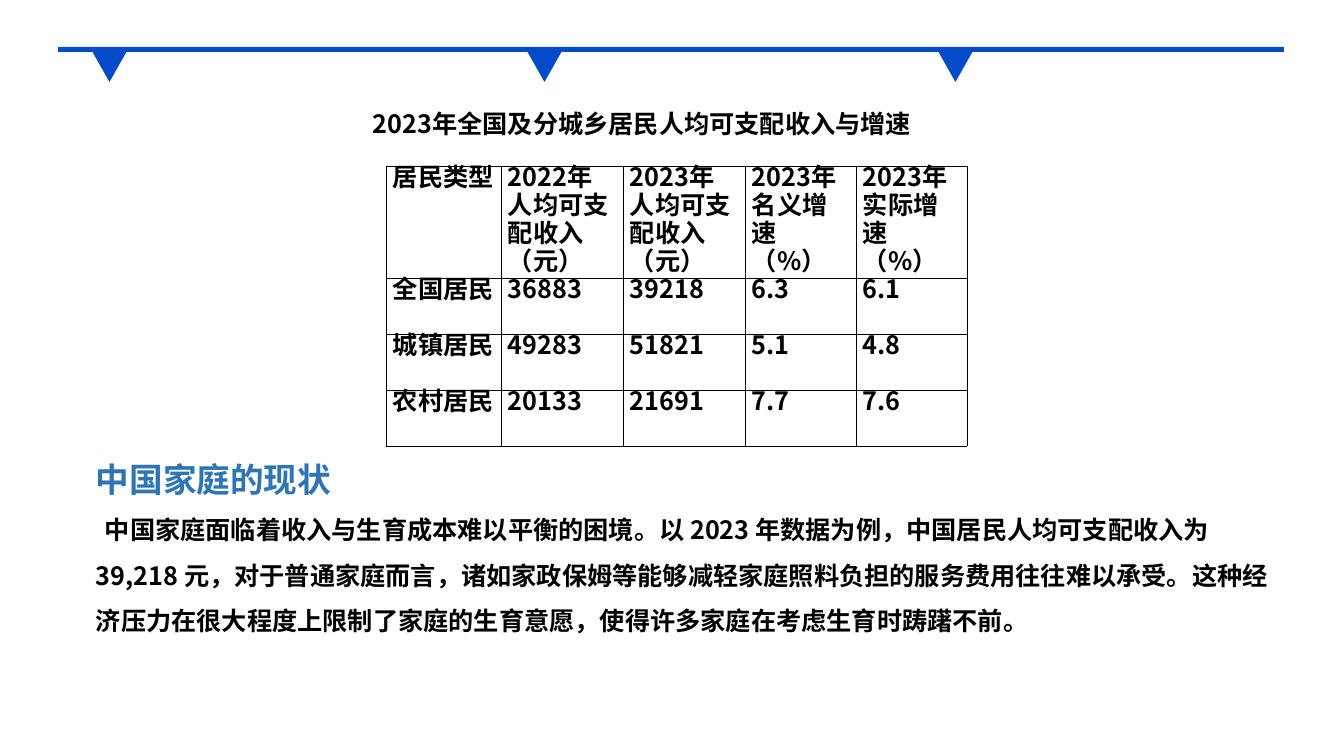
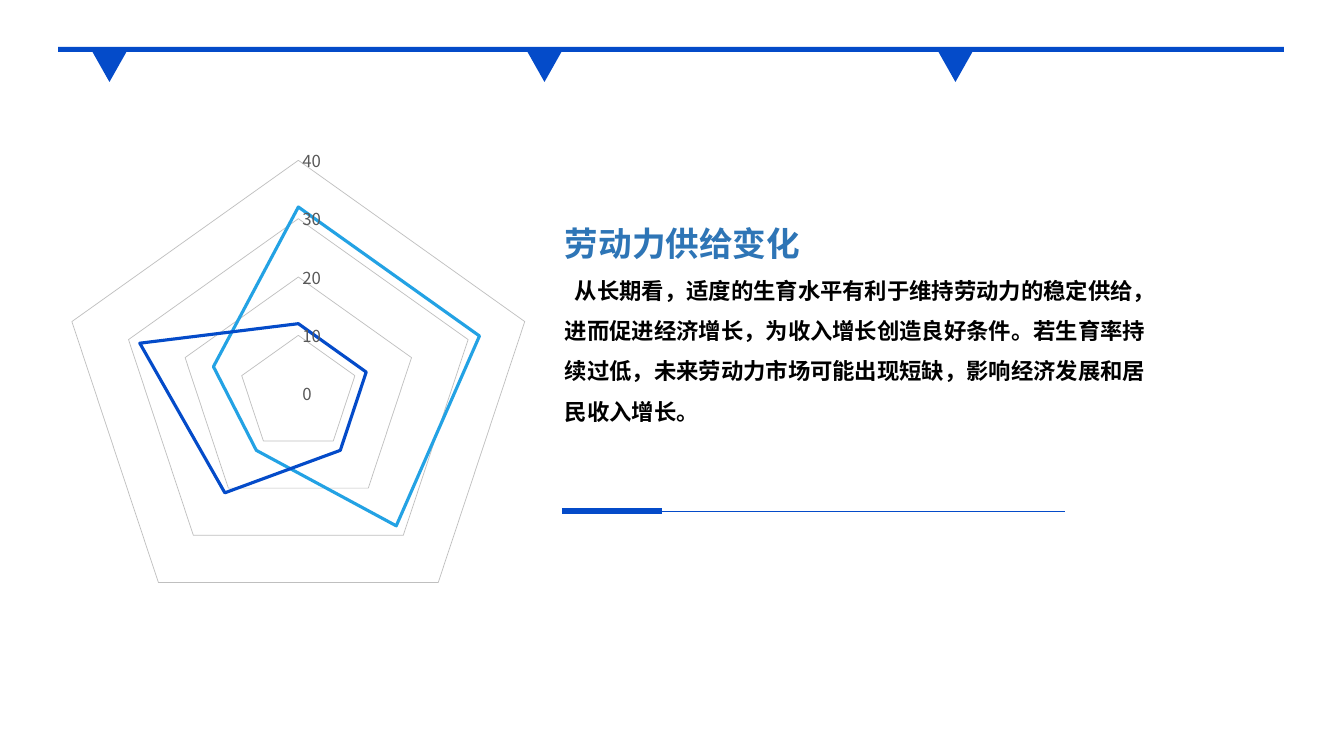
import pptx
import pptx.chart.data
import pptx.dml.color
import pptx.enum.chart
import pptx.enum.shapes
import pptx.oxml
import pptx.oxml.ns
import pptx.util

PX = 914400 / 100.8
FONT = "Noto Sans CJK SC"
HUES = {"blue": "044BC9", "sky": "23A2E4", "head": "2E75B6", "text": "000000",
        "edge": "000008", "tick": "595959", "grid": "BFBFBF"}
LEAD = pptx.util.Pt(20)
SHAPE = pptx.enum.shapes.MSO_SHAPE
NS = pptx.oxml.ns.nsdecls


def emu(num):
    return pptx.util.Emu(round(num * PX))


def place(box):
    return [emu(num) for num in box]


def hue(name):
    return pptx.dml.color.RGBColor.from_string(HUES[name])


# Shared text style
def style(font, size, tint, bold):
    font.size = pptx.util.Pt(size)
    font.bold = bold
    font.color.rgb = hue(tint)
    font.name = FONT


def write(para, text, size, tint="text", gap=1.5, dent=0):
    para.text = text
    para.line_spacing = gap
    props = para._p.get_or_add_pPr()
    if dent:
        props.set("indent", str(emu(dent)))
    style(para.font, size, tint, True)
    east = pptx.oxml.parse_xml(f'<a:ea {NS("a")} typeface="{FONT}"/>')
    props.find(pptx.oxml.ns.qn("a:defRPr")).append(east)


def add_text(slide, box):
    frame = slide.shapes.add_textbox(*place(box)).text_frame
    frame.word_wrap = True
    return frame


# Heading with an indented body
def add_story(slide, box, head, body, size, dent):
    frame = add_text(slide, box)
    write(frame.paragraphs[0], head, 24, "head")
    write(frame.add_paragraph(), body, size, dent=dent)


# Top band: a bar with three pointers
def add_band(slide, box):
    left, top, wide, high = box
    parts = [(SHAPE.RECTANGLE, box)]
    parts += [(SHAPE.FLOWCHART_MERGE, (left + step, top + 4, 35, 31))
              for step in (34, 469, 880)]
    for kind, area in parts:
        shape = slide.shapes.add_shape(kind, *place(area))
        shape.shadow.inherit = False
        shape.fill.solid()
        shape.fill.fore_color.rgb = hue("blue")
        shape.line.fill.background()


# Table with thin borders
def add_grid(slide, box, rows, cols, highs):
    table = slide.shapes.add_table(len(rows), len(cols), *place(box)).table
    table.first_row = table.horz_banding = False
    for col, wide in zip(table.columns, cols):
        col.width = emu(wide)
    for row, high, texts in zip(table.rows, highs, rows):
        row.height = emu(high)
        for cell, text in zip(row.cells, texts):
            cell.margin_left = cell.margin_right = emu(7)
            cell.margin_top = cell.margin_bottom = 0
            cell.fill.background()
            write(cell.text_frame.paragraphs[0], text, 18, gap=LEAD)
            props = cell._tc.get_or_add_tcPr()
            for spot, side in enumerate("LRTB"):
                props.insert(spot, pptx.oxml.parse_xml(
                    f'<a:ln{side} {NS("a")} w="6350"><a:solidFill>'
                    f'<a:srgbClr val="{HUES["edge"]}"/></a:solidFill></a:ln{side}>'))


# Radar chart
def add_radar(slide, box, lines):
    data = pptx.chart.data.CategoryChartData()
    data.categories = ["1", "2", "3", "4", "5"]
    for name, vals, tint in lines:
        data.add_series(name, vals)
    kind = pptx.enum.chart.XL_CHART_TYPE.RADAR
    chart = slide.shapes.add_chart(kind, *place(box), data).chart
    chart.has_legend = chart.has_title = False
    style(chart.font, 12, "text", False)
    plot = chart.plots[0]
    plot.vary_by_categories = False
    for line, (name, vals, tint) in zip(plot.series, lines):
        line.format.line.color.rgb = hue(tint)
        line.format.line.width = pptx.util.Pt(2.25)
    chart.category_axis.visible = False
    axis = chart.value_axis
    axis.minimum_scale, axis.maximum_scale, axis.major_unit = 0, 40, 10
    axis.major_tick_mark = axis.minor_tick_mark = pptx.enum.chart.XL_TICK_MARK.NONE
    axis.format.line.fill.background()
    axis.has_major_gridlines = True
    grid = axis.major_gridlines.format.line
    grid.color.rgb = hue("grid")
    grid.width = pptx.util.Pt(0.5)
    style(axis.tick_labels.font, 12, "tick", False)
    # Fixed inner plot area
    area = chart._chartSpace.chart.plotArea
    for old in area.findall(pptx.oxml.ns.qn("c:layout")):
        area.remove(old)
    sizes = "".join(f'<c:{key} val="{val}"/>' for key, val in
                    (("x", 0.004), ("y", 0.004), ("w", 0.852), ("h", 0.939)))
    area.insert(0, pptx.oxml.parse_xml(
        f'<c:layout {NS("c")}><c:manualLayout><c:layoutTarget val="inner"/>'
        f'<c:xMode val="edge"/><c:yMode val="edge"/>{sizes}'
        '</c:manualLayout></c:layout>'))


# Thin rule with a thick start
def add_rule(slide, left, top, wide):
    for span, size in ((wide, 0.5), (wide // 5, 4.5)):
        line = slide.shapes.add_connector(
            pptx.enum.shapes.MSO_CONNECTOR.STRAIGHT,
            *place((left, top, left + span, top)))
        line.line.color.rgb = hue("blue")
        line.line.width = pptx.util.Pt(size)
        line._element.spPr.append(pptx.oxml.parse_xml(f'<a:effectLst {NS("a")}/>'))


def new_slide(deck):
    slide = deck.slides.add_slide(deck.slide_layouts[6])
    add_band(slide, (58, 47, 1226, 5))
    return slide


def income(deck):
    slide = new_slide(deck)
    add_story(slide, (86, 434, 1208, 209), "中国家庭的现状",
              "中国家庭面临着收入与生育成本难以平衡的困境。以 2023 年数据为例，"
              "中国居民人均可支配收入为 39,218 元，对于普通家庭而言，"
              "诸如家政保姆等能够减轻家庭照料负担的服务费用往往难以承受。"
              "这种经济压力在很大程度上限制了家庭的生育意愿，"
              "使得许多家庭在考虑生育时踌躇不前。", 18, 9)
    frame = add_text(slide, (243, 106, 1050, 38))
    write(frame.paragraphs[0], "2023年全国及分城乡居民人均可支配收入与增速",
          18, gap=LEAD, dent=120)
    rows = [("居民类型", "2022年人均可支配收入（元）", "2023年人均可支配收入（元）",
             "2023年名义增速（%）", "2023年实际增速（%）"),
            ("全国居民", "36883", "39218", "6.3", "6.1"),
            ("城镇居民", "49283", "51821", "5.1", "4.8"),
            ("农村居民", "20133", "21691", "7.7", "7.6")]
    add_grid(slide, (386, 166, 581, 280), rows,
             (115, 122, 122, 111, 111), (112, 56, 56, 56))


def labour(deck):
    slide = new_slide(deck)
    add_story(slide, (555, 198, 605, 340), "劳动力供给变化",
              "从长期看，适度的生育水平有利于维持劳动力的稳定供给，"
              "进而促进经济增长，为收入增长创造良好条件。"
              "若生育率持续过低，未来劳动力市场可能出现短缺，"
              "影响经济发展和居民收入增长。", 16, 10)
    add_rule(slide, 562, 511, 503)
    add_radar(slide, (58, 148, 559, 508),
              [("Series 1", (32, 32, 28, 12, 15), "sky"),
               ("Series 2", (12, 12, 12, 21, 28), "blue")])


def main():
    deck = pptx.Presentation()
    deck.slide_width, deck.slide_height = emu(1344), emu(756)
    income(deck)
    labour(deck)
    deck.save("out.pptx")


if __name__ == "__main__":
    main()
